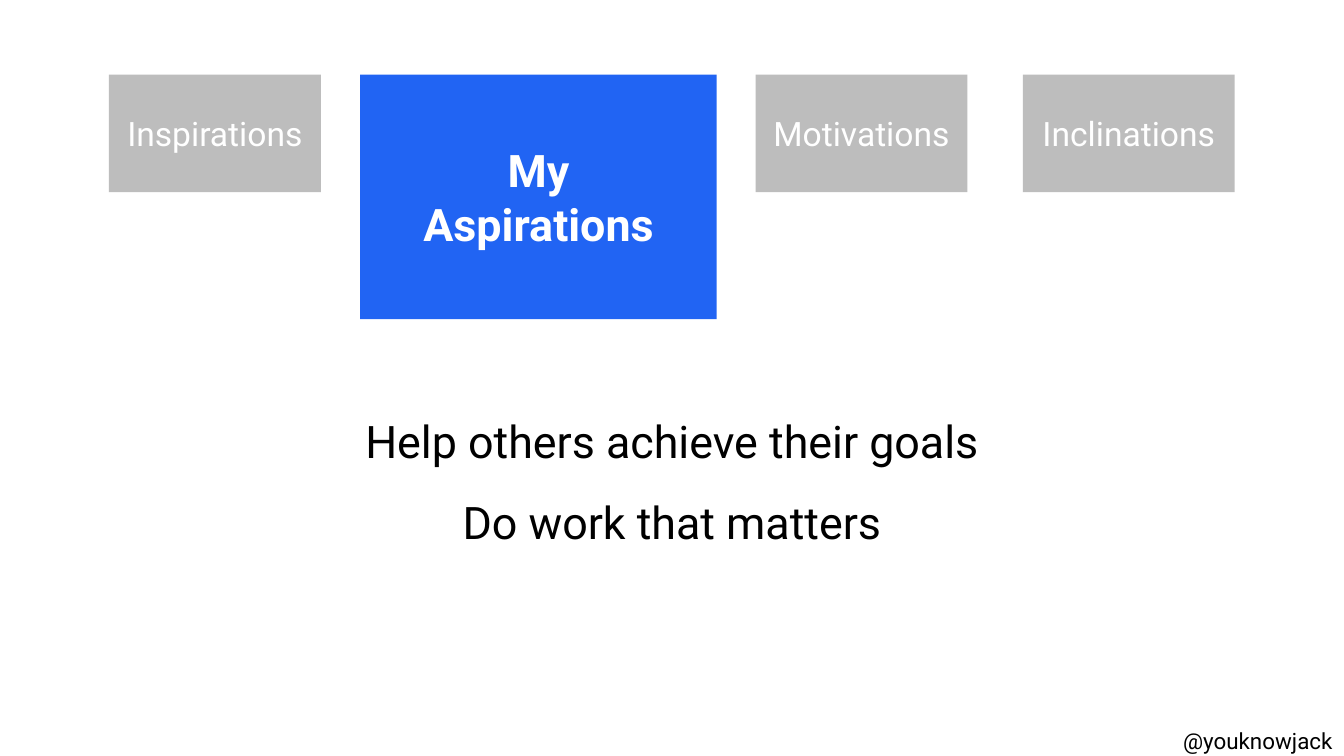
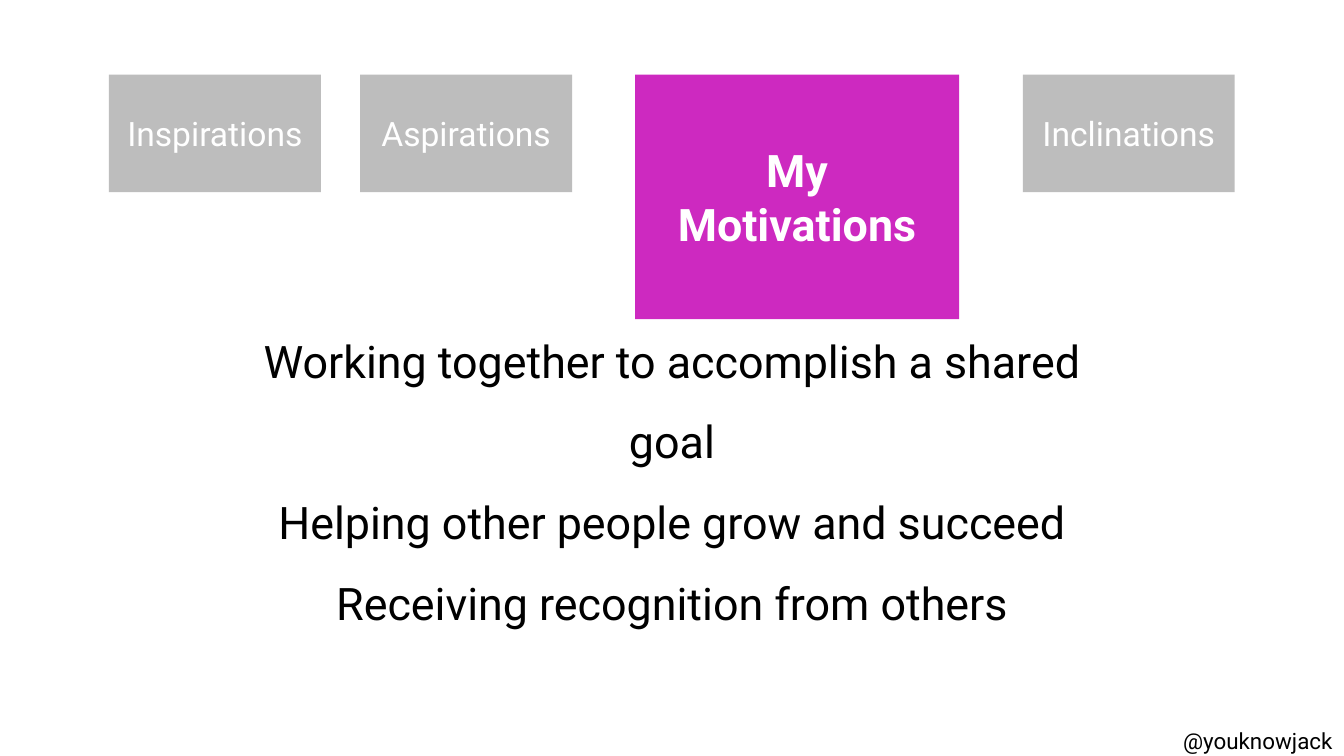
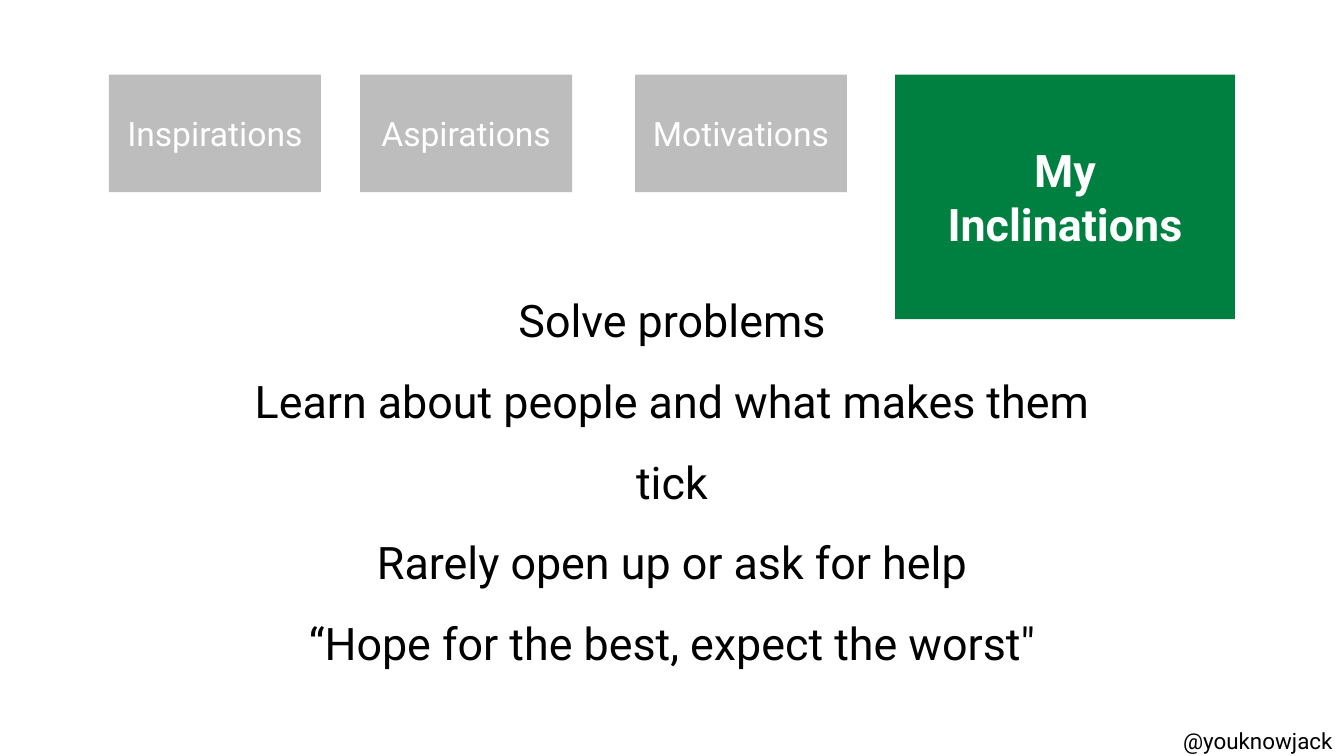
import pptx
import pptx.dml.color
import pptx.enum.shapes
import pptx.enum.text
import pptx.util

Pt = pptx.util.Pt
ALIGN = pptx.enum.text.PP_ALIGN
ANCHOR = pptx.enum.text.MSO_ANCHOR

# Shared look
WHITE, BLACK, GREY = "FFFFFF", "000000", "BDBDBD"
TAB_TOP, TAB_WIDTH, TAB_HEIGHT, ACTIVE_HEIGHT = 40, 113.5, 63, 131
TAB_TEXT = {"size": Pt(18), "name": "Roboto"}
ACTIVE_TEXT = {"size": Pt(24), "name": "Roboto", "bold": True}
BODY_TEXT = {"size": Pt(24), "name": "Roboto"}
HANDLE_TEXT = {"size": Pt(12), "name": "Roboto"}

# Each slide: active topic, its colour and width, left edge of every tab, statements
topics = ["Inspirations", "Aspirations", "Motivations", "Inclinations"]
slides = [
    ("Aspirations", "2164F3", 191, [58.4, 193, 404.8, 548],
     ["Help others achieve their goals", "Do work that matters"]),
    ("Motivations", "CD29C0", 173.6, [58.4, 193, 340.2, 548],
     ["Working together to accomplish a shared goal",
      "Helping other people grow and succeed",
      "Receiving recognition from others"]),
    ("Inclinations", "008040", 182, [58.4, 193, 340.2, 479.5],
     ["Solve problems", "Learn about people and what makes them tick",
      "Rarely open up or ask for help",
      "“Hope for the best, expect the worst\""]),
]


def rgb(hex_code):
    return pptx.dml.color.RGBColor.from_string(hex_code)


def write(shape, lines, font, color, align, anchor, inset, spacing=None):
    frame = shape.text_frame
    frame.word_wrap = True
    frame.vertical_anchor = anchor
    for side in ("left", "top", "right", "bottom"):
        setattr(frame, f"margin_{side}", Pt(inset))
    frame.text = "\n".join(lines)
    for paragraph in frame.paragraphs:
        paragraph.alignment = align
        paragraph.line_spacing = spacing
        for run in paragraph.runs:
            for key, value in font.items():
                setattr(run.font, key, value)
            run.font.color.rgb = rgb(color)


deck = pptx.Presentation()
deck.slide_width, deck.slide_height = Pt(720), Pt(405)

for active, accent, active_width, lefts, statements in slides:
    slide = deck.slides.add_slide(deck.slide_layouts[6])

    # Row of topics, the active one enlarged
    for topic, left in zip(topics, lefts):
        is_active = topic == active
        width, height = (active_width, ACTIVE_HEIGHT) if is_active else (TAB_WIDTH, TAB_HEIGHT)
        tab = slide.shapes.add_shape(
            pptx.enum.shapes.MSO_SHAPE.RECTANGLE, Pt(left), Pt(TAB_TOP), Pt(width), Pt(height))
        tab.shadow.inherit = False
        tab.fill.solid()
        tab.fill.fore_color.rgb = rgb(accent if is_active else GREY)
        tab.line.fill.background()
        # A vertical tab becomes a line break within the paragraph
        write(tab, [f"My\v{topic}" if is_active else topic],
              ACTIVE_TEXT if is_active else TAB_TEXT, WHITE, ALIGN.CENTER, ANCHOR.MIDDLE, 7.2)

    # Statements
    body = slide.shapes.add_textbox(Pt(119), Pt(192.3), Pt(482), Pt(116.6))
    write(body, statements, BODY_TEXT, BLACK, ALIGN.CENTER, ANCHOR.MIDDLE, 0, 1.5)

    # Speaker handle
    handle = slide.shapes.add_textbox(Pt(603), Pt(394), Pt(118), Pt(17.3))
    write(handle, ["@youknowjack"], HANDLE_TEXT, BLACK, ALIGN.RIGHT, ANCHOR.BOTTOM, 7.2)

deck.save("out.pptx")
